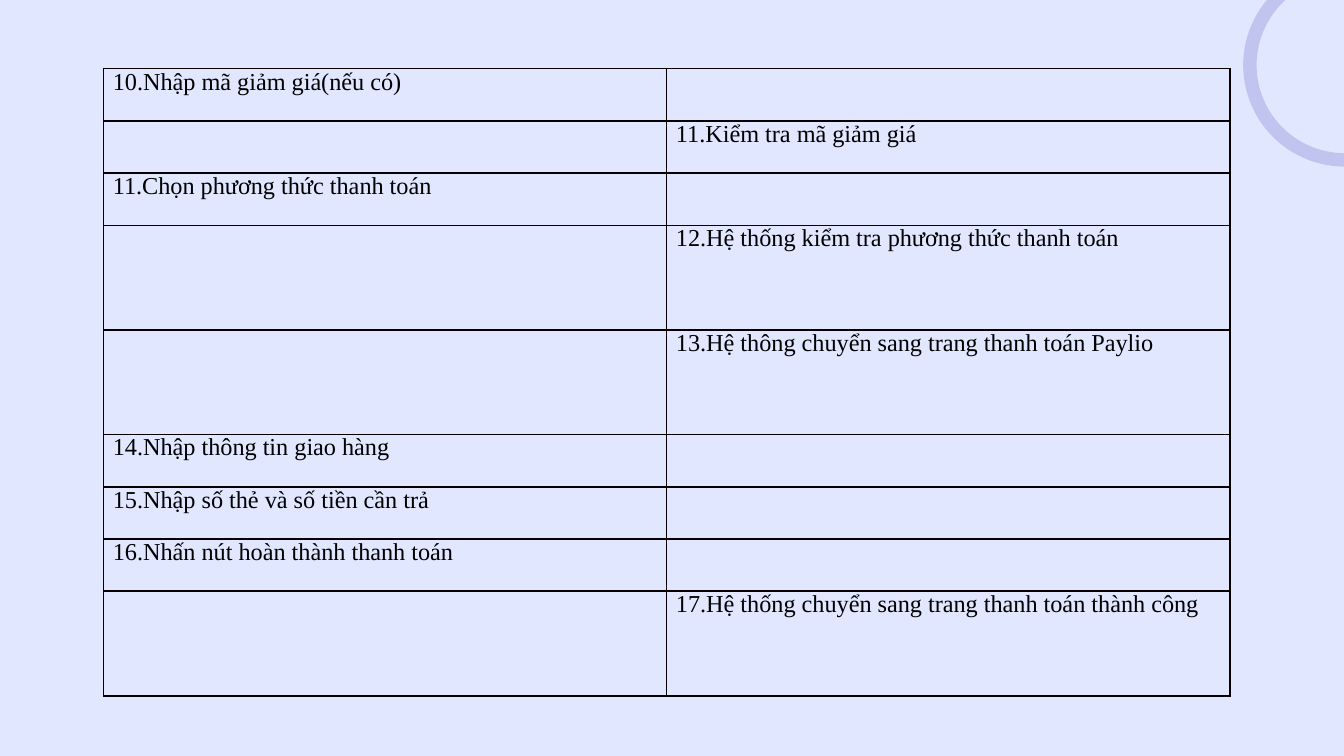
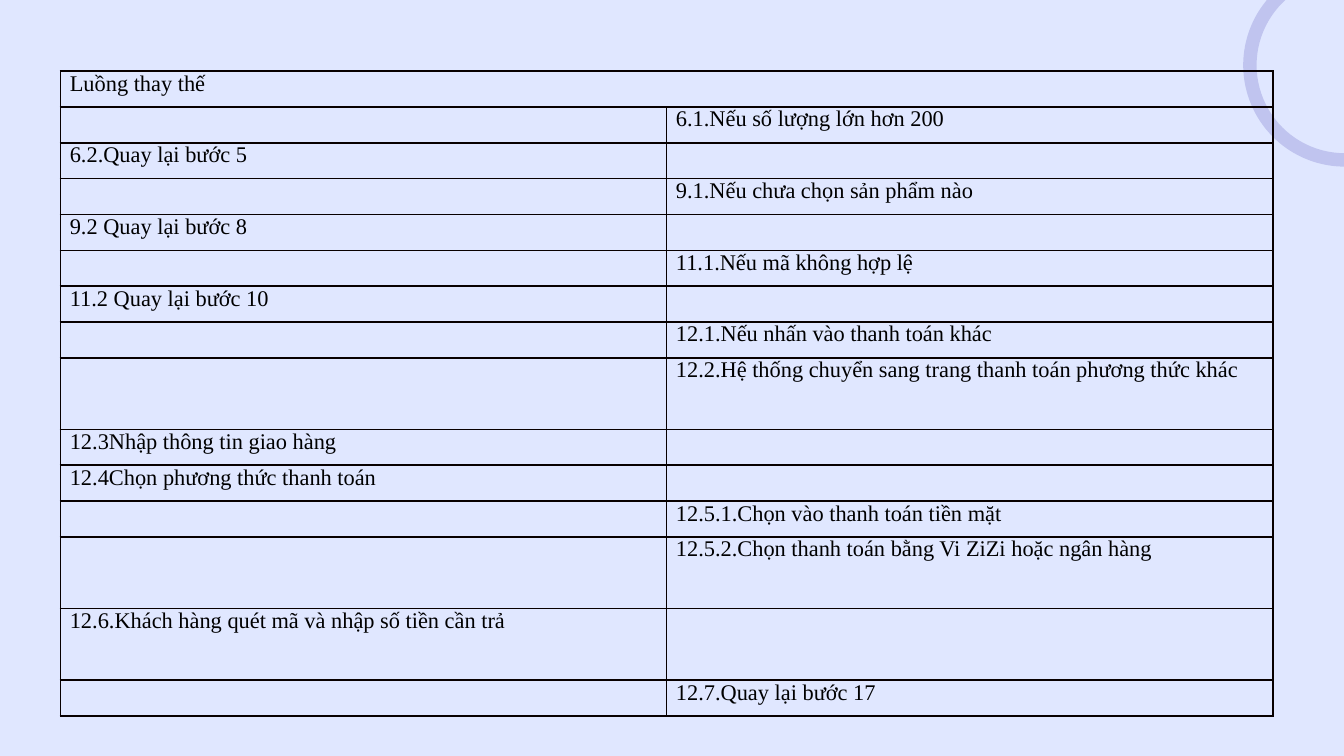
from lxml import etree
from pptx import Presentation
from pptx.dml.color import RGBColor
from pptx.enum.shapes import MSO_SHAPE
from pptx.oxml.ns import qn
from pptx.util import Inches, Pt

DONUT = MSO_SHAPE.DONUT
FONT = "Times New Roman"
BACKGROUND, RING, BORDER, TEXT = "E0E7FF", "1B129C", "080000", "000000"
RING_ALPHA = 16

USER, SYSTEM, BOTH = "user", "system", "both"

# Each step: who acts, wording, height in row units
TABLES = [
    {
        "left": 0.77, "top": 0.51, "width": 8.38, "height": 4.67, "size": 13,
        "steps": [
            (USER, "10.Nhập mã giảm giá(nếu có)", 1),
            (SYSTEM, "11.Kiểm tra mã giảm giá", 1),
            (USER, "11.Chọn phương thức thanh toán", 1),
            (SYSTEM, "12.Hệ thống kiểm tra phương thức thanh toán", 2),
            (SYSTEM, "13.Hệ thông chuyển sang trang thanh toán Paylio", 2),
            (USER, "14.Nhập thông tin giao hàng", 1),
            (USER, "15.Nhập số thẻ và số tiền cần trả", 1),
            (USER, "16.Nhấn nút hoàn thành thanh toán", 1),
            (SYSTEM, "17.Hệ thống chuyển sang trang thanh toán thành công", 2),
        ],
    },
    {
        "left": 0.45, "top": 0.53, "width": 9.02, "height": 4.8, "size": 12,
        "steps": [
            (BOTH, "Luồng thay thế", 1),
            (SYSTEM, "6.1.Nếu số lượng lớn hơn 200", 1),
            (USER, "6.2.Quay lại bước 5", 1),
            (SYSTEM, "9.1.Nếu chưa chọn sản phẩm nào", 1),
            (USER, "9.2 Quay lại bước 8", 1),
            (SYSTEM, "11.1.Nếu mã không hợp lệ", 1),
            (USER, "11.2 Quay lại bước 10", 1),
            (SYSTEM, "12.1.Nếu nhấn vào thanh toán khác", 1),
            (SYSTEM, "12.2.Hệ thống chuyển sang trang thanh toán phương thức khác", 2),
            (USER, "12.3Nhập thông tin giao hàng", 1),
            (USER, "12.4Chọn phương thức thanh toán", 1),
            (SYSTEM, "12.5.1.Chọn vào thanh toán tiền mặt", 1),
            (SYSTEM, "12.5.2.Chọn thanh toán bằng Vi ZiZi hoặc ngân hàng", 2),
            (USER, "12.6.Khách hàng quét mã và nhập số tiền cần trả", 2),
            (SYSTEM, "12.7.Quay lại bước 17", 1),
        ],
    },
]


def color(value):
    return RGBColor.from_string(value)


def add_ring(page):
    ring = page.shapes.add_shape(DONUT, Inches(9.25), Inches(-0.27), Inches(1.51), Inches(1.51))
    ring.adjustments[0] = 0.066
    ring.shadow.inherit = False
    ring.line.fill.background()
    ring.fill.solid()
    ring.fill.fore_color.rgb = color(RING)
    tint = ring.fill._xPr.find(qn("a:solidFill"))[0]
    etree.SubElement(tint, qn("a:alpha"), val=str(RING_ALPHA * 1000))


def add_borders(cell):
    properties = cell._tc.get_or_add_tcPr()
    for side in ("lnL", "lnR", "lnT", "lnB"):
        line = etree.SubElement(properties, qn("a:" + side), w=str(Pt(1)))
        fill = etree.SubElement(line, qn("a:solidFill"))
        etree.SubElement(fill, qn("a:srgbClr"), val=BORDER)


def format_cell(cell, size):
    """Set borders, insets and the text size that keeps empty rows low."""
    add_borders(cell)
    cell.fill.background()
    cell.margin_left = cell.margin_right = Inches(0.07)
    cell.margin_top = cell.margin_bottom = 0
    para = cell.text_frame.paragraphs[0]
    etree.SubElement(para._p, qn("a:endParaRPr"), sz=str(size * 100))


def write(cell, text, size):
    span = cell.text_frame.paragraphs[0].add_run()
    span.text = text
    span.font.name = FONT
    span.font.size = Pt(size)
    span.font.color.rgb = color(TEXT)


def add_steps(page, content):
    steps, size = content["steps"], content["size"]
    left, top, width, height = (Inches(content[key]) for key in ("left", "top", "width", "height"))
    table = page.shapes.add_table(len(steps), 2, left, top, width, height).table
    table.first_row = table.horz_banding = False
    for column in table.columns:
        column.width = width // 2
    unit = height / sum(units for _, _, units in steps)
    for index, (actor, text, units) in enumerate(steps):
        table.rows[index].height = int(unit * units)
        for cell in table.rows[index].cells:
            format_cell(cell, size)
        if actor == BOTH:
            table.cell(index, 0).merge(table.cell(index, 1))
        write(table.cell(index, 1 if actor == SYSTEM else 0), text, size)


def main():
    deck = Presentation()
    deck.slide_width = Inches(10)
    deck.slide_height = deck.slide_width * 9 // 16
    backdrop = deck.slide_master.background.fill
    backdrop.solid()
    backdrop.fore_color.rgb = color(BACKGROUND)
    blank = deck.slide_layouts[6]
    for content in TABLES:
        page = deck.slides.add_slide(blank)
        add_ring(page)
        add_steps(page, content)
    deck.save("out.pptx")


if __name__ == "__main__":
    main()
